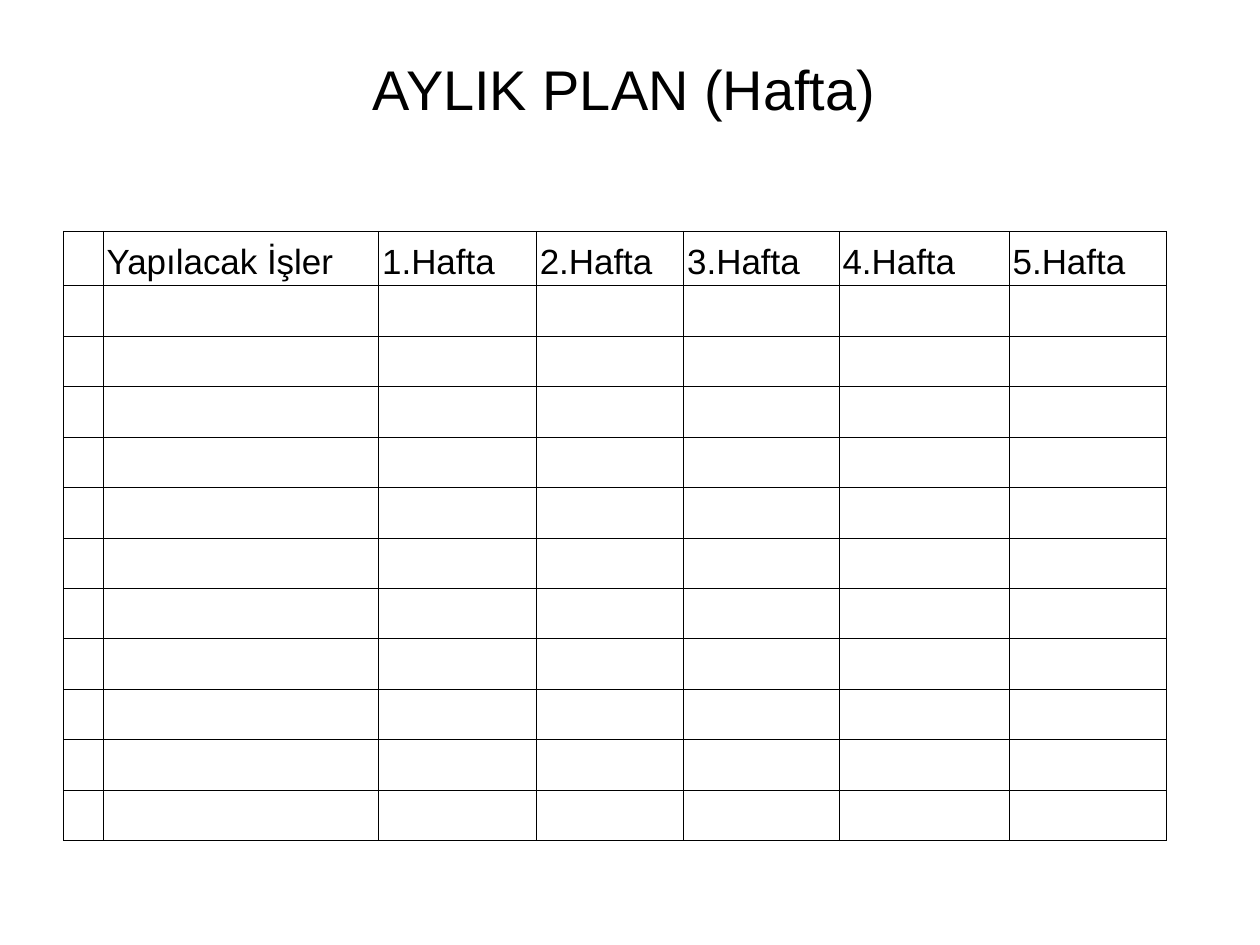
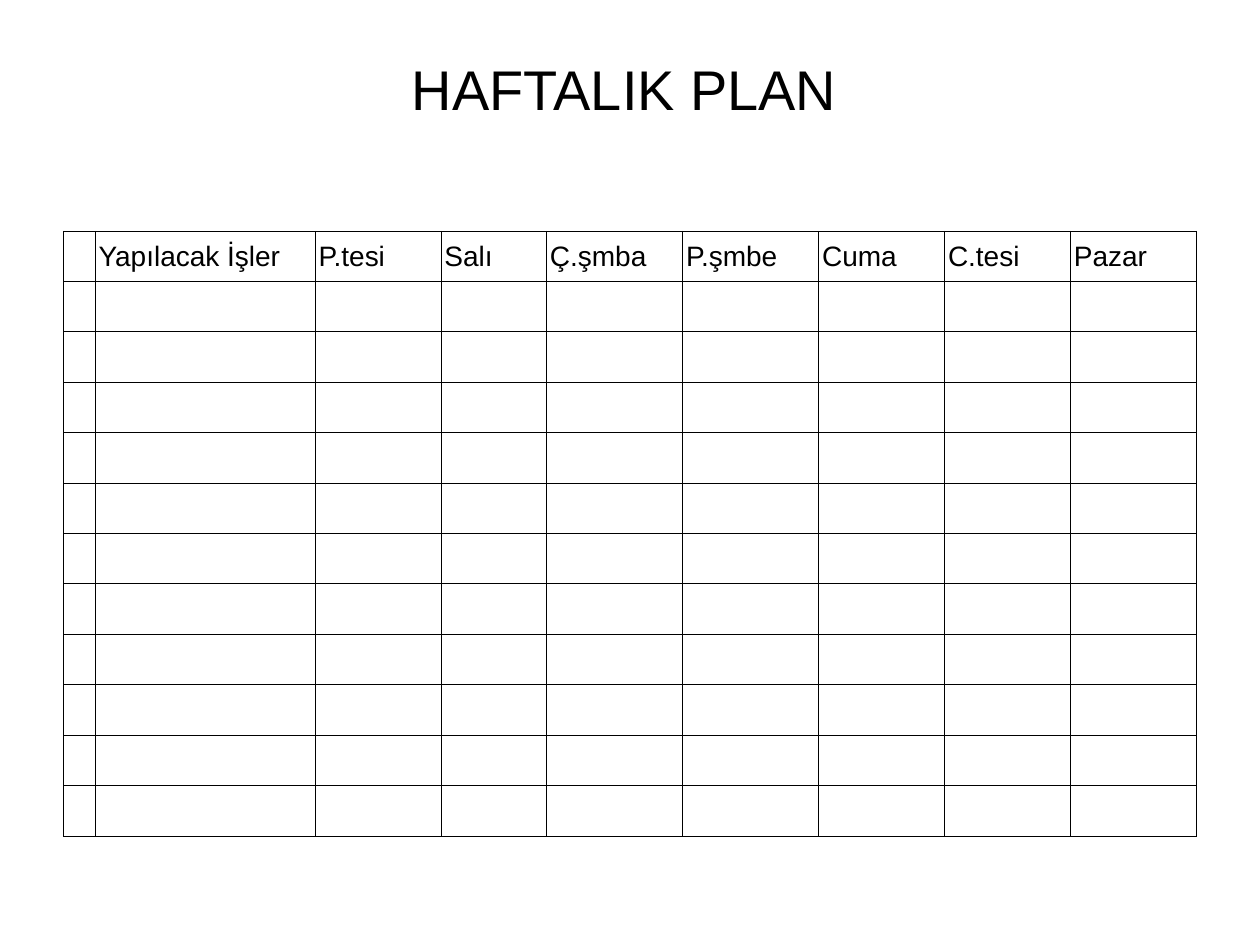
from dataclasses import dataclass

from lxml import etree
from pptx import Presentation, util as u
from pptx.dml import color
from pptx.enum import text
from pptx.oxml import ns


# Shared look
@dataclass(frozen=True)
class Theme:
    font: str = "Arial"
    ink: str = "000000"
    paper: str = "FFFFFF"
    title_size: float = 35.5
    line_spacing: float = 1.2
    border_width: float = 0.75
    title_inset: float = 0.04
    cell_inset: float = 0.03


THEME = Theme()
TASK_ROWS = 11
TASK_ROWS_HEIGHT = 4.89


def set_insets(frame, inset):
    frame.margin_left = frame.margin_right = u.Inches(inset)
    frame.margin_top = frame.margin_bottom = u.Inches(inset)


def style_paragraph(para, size, align):
    para.alignment = align
    para.line_spacing = THEME.line_spacing
    para.font.name = THEME.font
    para.font.size = u.Pt(size)
    para.font.color.rgb = color.RGBColor.from_string(THEME.ink)


# Slide and title
def add_titled_slide(deck, title):
    page = deck.slides.add_slide(deck.slide_layouts[5])
    page.background.fill.solid()
    page.background.fill.fore_color.rgb = color.RGBColor.from_string(THEME.paper)
    box = page.shapes.title
    box.left, box.top = u.Inches(0.67), u.Inches(0.24)
    box.width, box.height = u.Inches(9.67), u.Inches(0.95)
    frame = box.text_frame
    frame.text = title
    frame.word_wrap = True
    frame.auto_size = text.MSO_AUTO_SIZE.NONE
    frame.vertical_anchor = text.MSO_ANCHOR.MIDDLE
    set_insets(frame, THEME.title_inset)
    style_paragraph(frame.paragraphs[0], THEME.title_size, text.PP_ALIGN.CENTER)
    return page


# Planning grid
def outline_cell(cell):
    properties = cell._tc.get_or_add_tcPr()
    for side in ("a:lnL", "a:lnR", "a:lnT", "a:lnB"):
        line = etree.SubElement(properties, ns.qn(side),
                                w=str(u.Pt(THEME.border_width)))
        fill = etree.SubElement(line, ns.qn("a:solidFill"))
        etree.SubElement(fill, ns.qn("a:srgbClr"), val=THEME.ink)
    cell.fill.background()


def add_plan_table(page, headings, widths, header_height, size):
    frame = page.shapes.add_table(
        TASK_ROWS + 1, len(headings), u.Inches(0.56), u.Inches(2.04),
        u.Inches(sum(widths)), u.Inches(header_height + TASK_ROWS_HEIGHT))
    table = frame.table
    table.first_row = table.horz_banding = False
    for column, width in zip(table.columns, widths):
        column.width = u.Inches(width)
    for row in table.rows:
        row.height = u.Inches(TASK_ROWS_HEIGHT / TASK_ROWS)
    table.rows[0].height = u.Inches(header_height)
    for cell in table.iter_cells():
        set_insets(cell, THEME.cell_inset)
        outline_cell(cell)
    for cell, heading in zip(table.rows[0].cells, headings):
        if heading:
            cell.text = heading
            style_paragraph(cell.text_frame.paragraphs[0], size,
                            text.PP_ALIGN.LEFT)


def main():
    deck = Presentation()
    deck.slide_width, deck.slide_height = u.Inches(11.11), u.Inches(8.33)

    # Monthly plan
    page = add_titled_slide(deck, "AYLIK PLAN (Hafta)")
    weeks = [f"{number}.Hafta" for number in range(1, 6)]
    add_plan_table(page, ["", "Yapılacak İşler", *weeks],
                   [0.35, 2.43, 1.39, 1.3, 1.37, 1.5, 1.39],
                   header_height=0.48, size=22.2)

    # Weekly plan
    page = add_titled_slide(deck, "HAFTALIK PLAN")
    days = ["P.tesi", "Salı", "Ç.şmba", "P.şmbe", "Cuma", "C.tesi", "Pazar"]
    add_plan_table(page, ["", "Yapılacak İşler", *days],
                   [0.28, 1.94, 1.11, 0.93, 1.2, 1.2, 1.11, 1.11, 1.11],
                   header_height=0.44, size=17.8)

    deck.save("out.pptx")


main()
